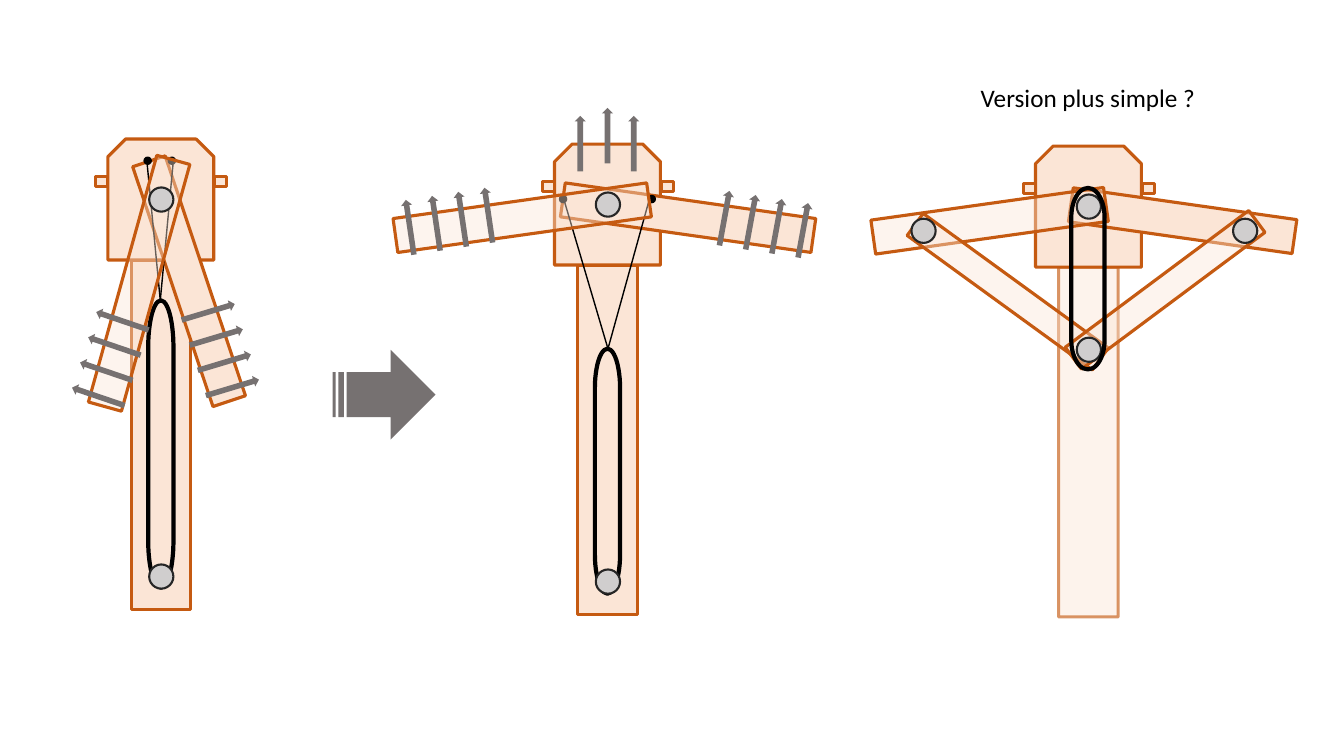
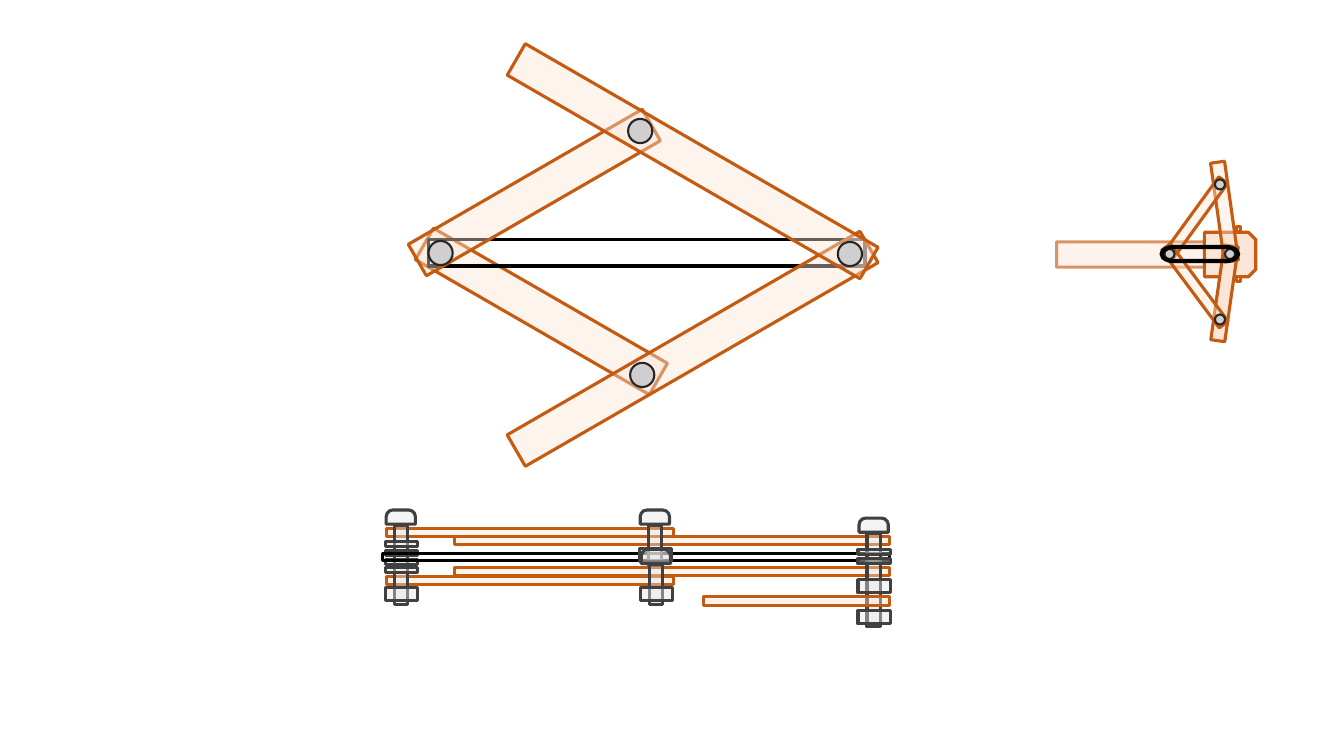
from collections import namedtuple
from dataclasses import dataclass

from lxml import etree
from pptx import Presentation
from pptx.dml.color import RGBColor
from pptx.enum.shapes import MSO_CONNECTOR, MSO_SHAPE
from pptx.enum.text import MSO_ANCHOR, PP_ALIGN
from pptx.oxml.ns import qn
from pptx.util import Pt

RECT = MSO_SHAPE.RECTANGLE
OVAL = MSO_SHAPE.OVAL
HILT = MSO_SHAPE.SNIP_2_SAME_RECTANGLE
BAND = MSO_SHAPE.FLOWCHART_TERMINATOR
BOLT_HEAD = MSO_SHAPE.ROUND_2_SAME_RECTANGLE
DOWN_ARROW = MSO_SHAPE.DOWN_ARROW
STRIPED_ARROW = MSO_SHAPE.STRIPED_RIGHT_ARROW
STRAIGHT = MSO_CONNECTOR.STRAIGHT

PX = 9144  # 100 px to the inch

# Opacities are in percent, line widths in points
Style = namedtuple("Style", "fill opacity line width line_opacity", defaults=(100,))


@dataclass(frozen=True)
class Theme:
    font: str = "Calibri"
    text_size: int = 18
    black: str = "000000"
    cord_width: int = 1
    wood: Style = Style("FBE5D6", 100, "C55A11", 2.25)
    clear_wood: Style = Style("FBE5D6", 41, "C55A11", 2.25)
    faded_wood: Style = Style("FBE5D6", 45, "C55A11", 2.25, 64)
    steel: Style = Style("E7E6E6", 41, "404040", 2.25)
    pin: Style = Style("D0CECE", 100, "262626", 1.5)
    dot: Style = Style("000000", 100, "000000", 1)
    band: Style = Style(None, 100, "000000", 3)
    strap: Style = Style(None, 100, "000000", 2.25)
    arrow: Style = Style("767171", 100, None, 0)


THEME = Theme()


def add_part(target, kind, box, style, turn=0):
    """Add one preset shape; box is left, top, width, height in px."""
    part = target.shapes.add_shape(kind, *(n * PX for n in box))
    part.rotation = turn
    part.shadow.inherit = False
    properties = part.element.spPr
    for paint, color, opacity, where in (
        (part.fill, style.fill, style.opacity, "a:solidFill"),
        (part.line.fill, style.line, style.line_opacity, "a:ln/a:solidFill"),
    ):
        if color is None:
            paint.background()
            continue
        paint.solid()
        paint.fore_color.rgb = RGBColor.from_string(color)
        if opacity < 100:
            solid = properties.find("/".join(qn(tag) for tag in where.split("/")))
            etree.SubElement(solid[0], qn("a:alpha"), val=str(opacity * 1000))
    if style.line:
        part.line.width = Pt(style.width)
    return part


def add_bolt(slide, left, top, length, nuts, washers):
    """Add a bolt seen from the side, with its nuts and washers."""
    add_part(slide, RECT, (left + 9, top + 15, 13, length), THEME.steel)
    head = add_part(slide, BOLT_HEAD, (left + 1, top, 29, 14), THEME.steel)
    head.adjustments[0] = 0.474
    head.adjustments[1] = 0
    for y in nuts:
        add_part(slide, RECT, (left, y, 32, 13), THEME.steel)
    for y in washers:
        add_part(slide, RECT, (left, y, 32, 5), THEME.steel)


deck = Presentation()
deck.slide_width = 1333 * PX
deck.slide_height = 750 * PX
blank = deck.slide_layouts[6]

# ---- Slide 1: the sword closed, open, and in a simpler version ----
motion = deck.slides.add_slide(blank)

# Blades, hilts and guards
OPEN, CLOSED, SIMPLE = (550, 143), (107, 138), (1027, 145)
for (x, y), blade_style in (
    (OPEN, THEME.wood), (CLOSED, THEME.wood), (SIMPLE, THEME.faded_wood),
):
    add_part(motion, RECT, (x - 121, y + 264, 347, 59), blade_style, 270)
    add_part(motion, HILT, (x, y, 105, 120), THEME.wood)
    for guard_x in (x - 12, x + 106):
        add_part(motion, RECT, (guard_x, y + 37, 12, 10), THEME.wood)

# Arms pulled by cords and a rubber band
for (x, y), right_arm, right_turn, left_arm, left_turn, band, knot, cords in (
    (OPEN, (557, 199, 251, 34), 8.1, (391, 199, 254, 34), 352,
     (481, 455, 243, 25), (603, 346),
     (((559, 197), (643, 194)), ((644, 198), (555, 194)))),
    (CLOSED, (62, 262, 251, 34), 71.5, (11, 264, 254, 34), 285.5,
     (17, 428, 285, 25), (159, 298),
     (((146, 163), (167, 156)), ((172, 159), (143, 156)))),
):
    add_part(motion, RECT, right_arm, THEME.wood, right_turn)
    add_part(motion, BAND, band, THEME.band, 90)
    add_part(motion, OVAL, (x + 41, y + 422, 24, 24), THEME.pin)
    for start, dot in cords:
        cord = motion.shapes.add_connector(STRAIGHT, *(n * PX for n in start + knot))
        cord.line.color.rgb = RGBColor.from_string(THEME.black)
        cord.line.width = Pt(THEME.cord_width)
        etree.SubElement(cord.element.spPr, qn("a:effectLst"))
        add_part(motion, OVAL, dot + (7, 7), THEME.dot)
    add_part(motion, RECT, left_arm, THEME.clear_wood, left_turn)
    add_part(motion, OVAL, (x + 41, y + 48, 24, 24), THEME.pin)

# Movement arrows
add_part(motion, STRIPED_ARROW, (330, 347, 102, 89), THEME.arrow)
for x, y in ((570, 115), (597, 107), (623, 115)):
    add_part(motion, DOWN_ARROW, (x, y, 11, 55), THEME.arrow, 180)
for x, y, step_x, step_y, turn in (
    (401, 198, 26, -4, 171.6),
    (713, 189, 26, 4, 190.4),
    (201, 282, 8, 25, 253.3),
    (92, 366, 8, -25, 108.8),
):
    volley = motion.shapes.add_group_shape()
    for i in range(4):
        box = (x + i * step_x, y + i * step_y, 11, 55)
        add_part(volley, DOWN_ARROW, box, THEME.arrow, turn)

# Simpler version: arms, struts, pins, band
for box, style, turn in (
    ((1061, 202, 224, 34), THEME.wood, 8.1),
    ((865, 202, 233, 34), THEME.clear_wood, 352),
    ((886, 276, 227, 27), THEME.clear_wood, 36),
    ((1042, 274, 227, 27), THEME.clear_wood, 143.3),
):
    add_part(motion, RECT, box, style, turn)
for x, y in ((1068, 193), (904, 217), (1223, 217), (1068, 335)):
    add_part(motion, OVAL, (x, y, 24, 24), THEME.pin)
add_part(motion, BAND, (989, 260, 180, 33), THEME.band, 90)

caption = motion.shapes.add_textbox(947 * PX, 77 * PX, 264 * PX, 40 * PX).text_frame
caption.word_wrap = True
caption.vertical_anchor = MSO_ANCHOR.TOP
question = caption.paragraphs[0]
question.text = "Version plus simple ?"
question.alignment = PP_ALIGN.CENTER
question.font.name = THEME.font
question.font.size = Pt(THEME.text_size)
question.font.color.rgb = RGBColor.from_string(THEME.black)

# ---- Slide 2: the linkage from above, from the side, and in place ----
linkage = deck.slides.add_slide(blank)

# Linkage from above
add_part(linkage, RECT, (403, 291, 268, 36), THEME.clear_wood, 30)
add_part(linkage, RECT, (425, 238, 433, 26), THEME.strap)
for box, turn in (
    ((485, 328, 404, 36), 330),
    ((396, 173, 268, 36), 330),
    ((485, 142, 404, 36), 30),
):
    add_part(linkage, RECT, box, THEME.clear_wood, turn)
for x, y in ((623, 118), (425, 239), (831, 240), (625, 360)):
    add_part(linkage, OVAL, (x, y, 24, 24), THEME.pin)

# Linkage from the side: bars, bolts and strap
for x, y, width in ((451, 563, 431), (383, 524, 285), (383, 572, 285), (451, 532, 431)):
    add_part(linkage, RECT, (x, y, width, 8), THEME.clear_wood)
add_bolt(linkage, 382, 506, 79, (583,), (563, 555, 546, 537))
add_part(linkage, RECT, (379, 549, 503, 7), THEME.strap)
add_bolt(linkage, 851, 514, 93, (575, 606), (554, 545))
add_part(linkage, RECT, (698, 592, 184, 9), THEME.clear_wood)
add_bolt(linkage, 634, 506, 40, (544,), ())
add_bolt(linkage, 635, 545, 40, (583,), ())

# Whole sword lying on its side
sword = linkage.shapes.add_group_shape()
for kind, box, style, turn in (
    (RECT, (1048, 240, 147, 25), THEME.faded_wood, 0),
    (HILT, (1198, 227, 44, 51), THEME.wood, 90),
    (RECT, (1167, 284, 95, 14), THEME.wood, 98.1),
    (RECT, (1165, 203, 99, 14), THEME.clear_wood, 82),
    (RECT, (1226, 225, 5, 4), THEME.wood, 90),
    (RECT, (1226, 275, 5, 4), THEME.wood, 90),
    (RECT, (1137, 212, 96, 11), THEME.clear_wood, 126),
    (RECT, (1137, 278, 96, 11), THEME.clear_wood, 233.3),
):
    add_part(sword, kind, box, style, turn)
for x, y in ((1215, 247), (1205, 178), (1205, 312), (1155, 247)):
    add_part(sword, OVAL, (x, y, 10, 10), THEME.pin)
add_part(sword, BAND, (1152, 245, 76, 14), THEME.band, 180)

deck.save("out.pptx")
